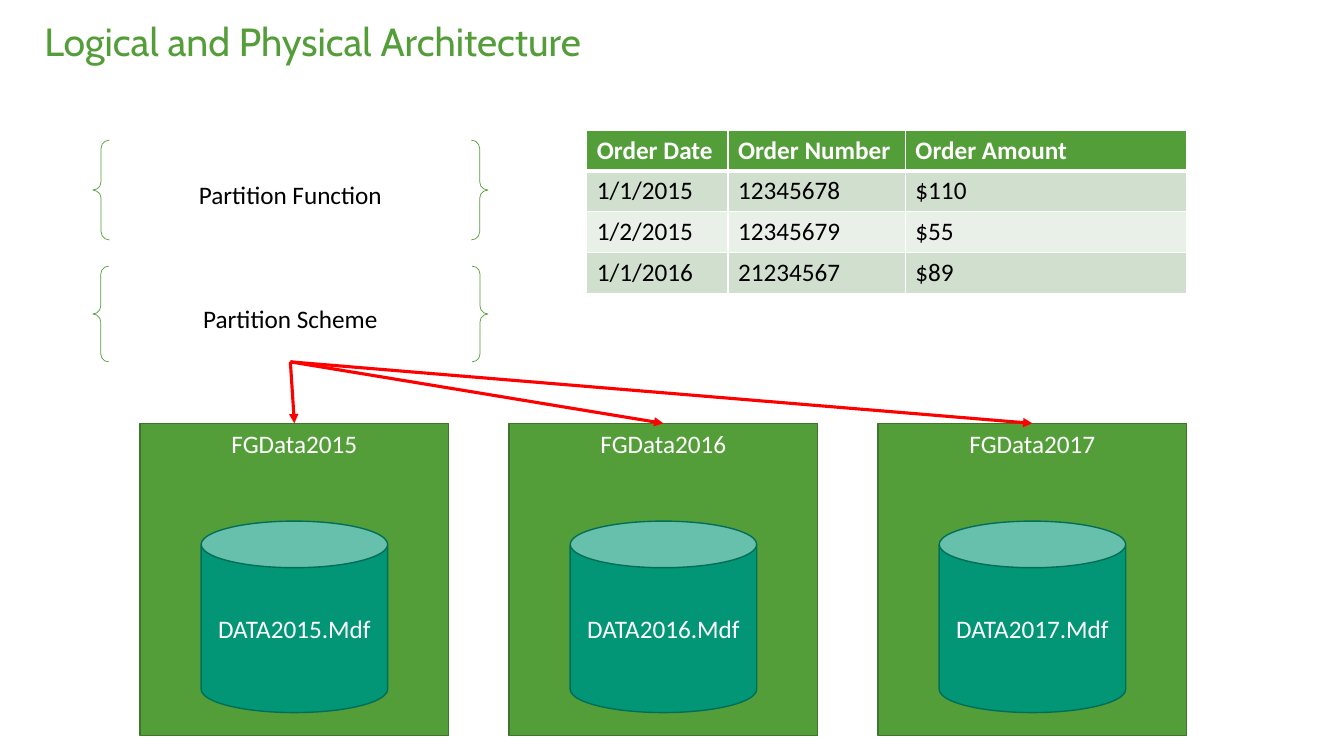
import pptx
import pptx.dml.color
import pptx.enum.shapes
import pptx.enum.text
import pptx.oxml.ns
import pptx.util
from lxml import etree

Inches, Pt = pptx.util.Inches, pptx.util.Pt
Anchor, Align = pptx.enum.text.MSO_ANCHOR, pptx.enum.text.PP_ALIGN
Shape = pptx.enum.shapes.MSO_SHAPE
qn = pptx.oxml.ns.qn

COLORS = {
    "green": "549E39", "green_edge": "3E752A", "teal": "029676", "teal_edge": "016F57",
    "red": "FF0000", "white": "FFFFFF", "black": "000000",
    "band_dark": "D1DFCE", "band_light": "E9F0E8",
}
ORDERS = [
    ("Order Date", "Order Number", "Order Amount"),
    ("1/1/2015", "12345678", "$110"),
    ("1/2/2015", "12345679", "$55"),
    ("1/1/2016", "21234567", "$89"),
]
YEARS = (2015, 2016, 2017)


def rgb(name):
    return pptx.dml.color.RGBColor.from_string(COLORS[name])


def set_text(frame, text, color, size=18, font="Calibri", bold=False, align=Align.LEFT):
    frame.text = text
    para = frame.paragraphs[0]
    para.alignment = align
    para.font.name, para.font.size, para.font.bold = font, Pt(size), bold
    para.font.color.rgb = rgb(color)
    return para


def add_box(page, kind, box, text, fill, edge, edge_width=1, color="white", anchor=Anchor.MIDDLE):
    """Add a preset shape with centred text; box is left, top, width, height in inches."""
    shape = page.shapes.add_shape(kind, *map(Inches, box))
    shape.shadow.inherit = False
    if fill:
        shape.fill.solid()
        shape.fill.fore_color.rgb = rgb(fill)
    else:
        shape.fill.background()
    shape.line.color.rgb = rgb(edge)
    shape.line.width = Pt(edge_width)
    shape.text_frame.word_wrap = True
    shape.text_frame.vertical_anchor = anchor
    set_text(shape.text_frame, text, color, align=Align.CENTER)
    return shape


def add_title(page, box, text):
    title = page.shapes.title
    title.left, title.top, title.width, title.height = map(Inches, box)
    frame = title.text_frame
    frame.vertical_anchor = Anchor.TOP
    frame.margin_top = 0
    set_text(frame, text, "green", size=28, font="Cabin").line_spacing = 0.9


def add_brace(page, box, text):
    return add_box(page, Shape.DOUBLE_BRACE, box, text, None, "green", 0.5, "black")


def add_filegroup(page, box, year):
    """Add a filegroup panel with its data file inside."""
    left, top, width, height = box
    panel = add_box(page, Shape.RECTANGLE, box, f"FGData{year}", "green", "green_edge",
                    anchor=Anchor.TOP)
    file_width = 1.85
    file_box = (left + (width - file_width) / 2, top + 0.97, file_width, 1.9)
    add_box(page, Shape.CAN, file_box, f"DATA{year}.Mdf", "teal", "teal_edge")
    return panel


def set_borders(cell, bottom_width):
    properties = cell._tc.get_or_add_tcPr()
    widths = {"a:lnL": 1, "a:lnR": 1, "a:lnT": 1, "a:lnB": bottom_width}
    for index, (side, width) in enumerate(widths.items()):
        line = etree.Element(qn(side), w=str(Pt(width)))
        fill = etree.SubElement(line, qn("a:solidFill"))
        etree.SubElement(fill, qn("a:srgbClr"), val=COLORS["white"])
        properties.insert(index, line)


def add_orders(page, box, column_widths):
    table = page.shapes.add_table(len(ORDERS), len(column_widths), *map(Inches, box)).table
    for column, width in zip(table.columns, column_widths):
        column.width = Inches(width)
    for row_index, values in enumerate(ORDERS):
        header = row_index == 0
        fill = "green" if header else ("band_light", "band_dark")[row_index % 2]
        for column_index, value in enumerate(values):
            cell = table.cell(row_index, column_index)
            set_borders(cell, 3 if header else 1)
            cell.fill.solid()
            cell.fill.fore_color.rgb = rgb(fill)
            set_text(cell.text_frame, value, "white" if header else "black", bold=header)


def add_arrow(page, source, target):
    """Join the bottom of source to the top of target."""
    arrow = page.shapes.add_connector(pptx.enum.shapes.MSO_CONNECTOR.STRAIGHT, 0, 0, 0, 0)
    arrow.begin_connect(source, 2)
    arrow.end_connect(target, 0)
    arrow.line.color.rgb = rgb("red")
    arrow.line.width = Pt(2.25)
    etree.SubElement(arrow.line._get_or_add_ln(), qn("a:tailEnd"), type="triangle")
    etree.SubElement(arrow._element.spPr, qn("a:effectLst"))


def build_architecture(page):
    add_title(page, (0.34, 0.22, 11.5, 0.8), "Logical and Physical Architecture")
    panels = [add_filegroup(page, (1.39 + 3.66 * index, 4.2, 3.06, 3.1), year)
              for index, year in enumerate(YEARS)]
    add_orders(page, (5.82, 1.29, 5.95, 1.62), (1.4, 1.76, 2.79))
    scheme = add_brace(page, (0.92, 2.64, 3.92, 0.95), "Partition Scheme")
    add_brace(page, (0.92, 1.39, 3.92, 0.99), "Partition Function")
    for panel in panels:
        add_arrow(page, scheme, panel)


def main():
    deck = pptx.Presentation()
    deck.slide_width, deck.slide_height = Inches(13.33), Inches(7.5)
    build_architecture(deck.slides.add_slide(deck.slide_layouts.get_by_name("Title Only")))
    deck.save("out.pptx")


if __name__ == "__main__":
    main()
